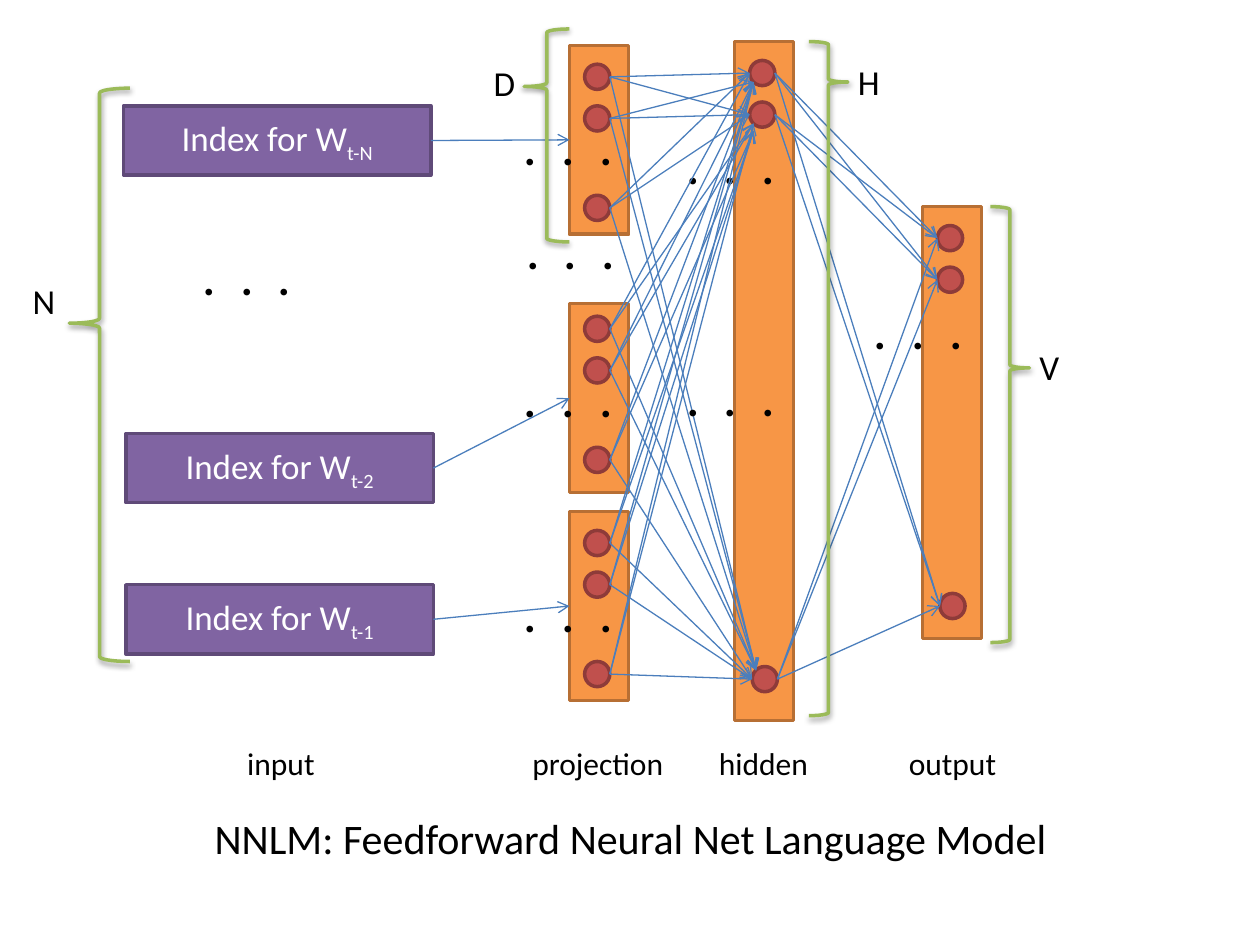
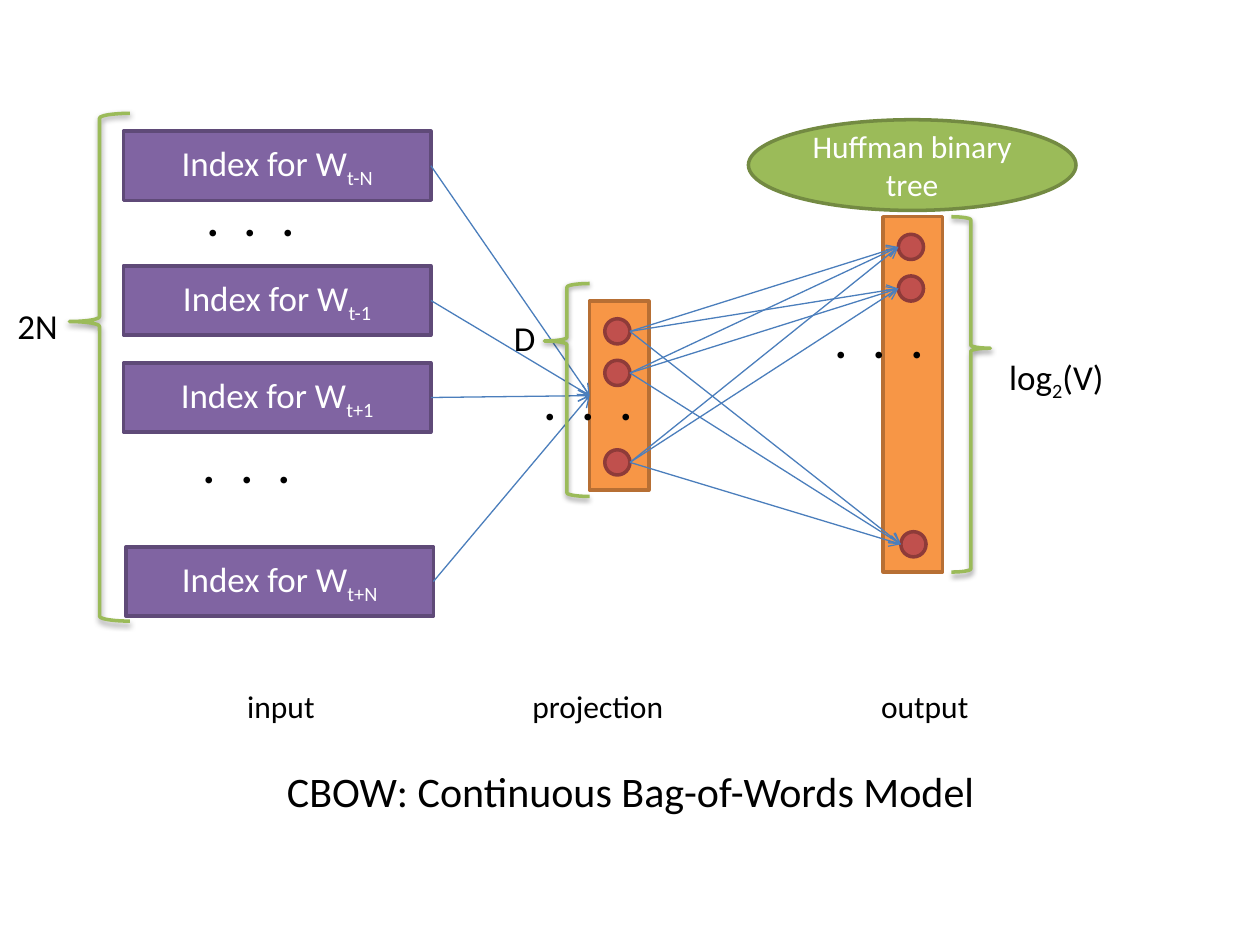
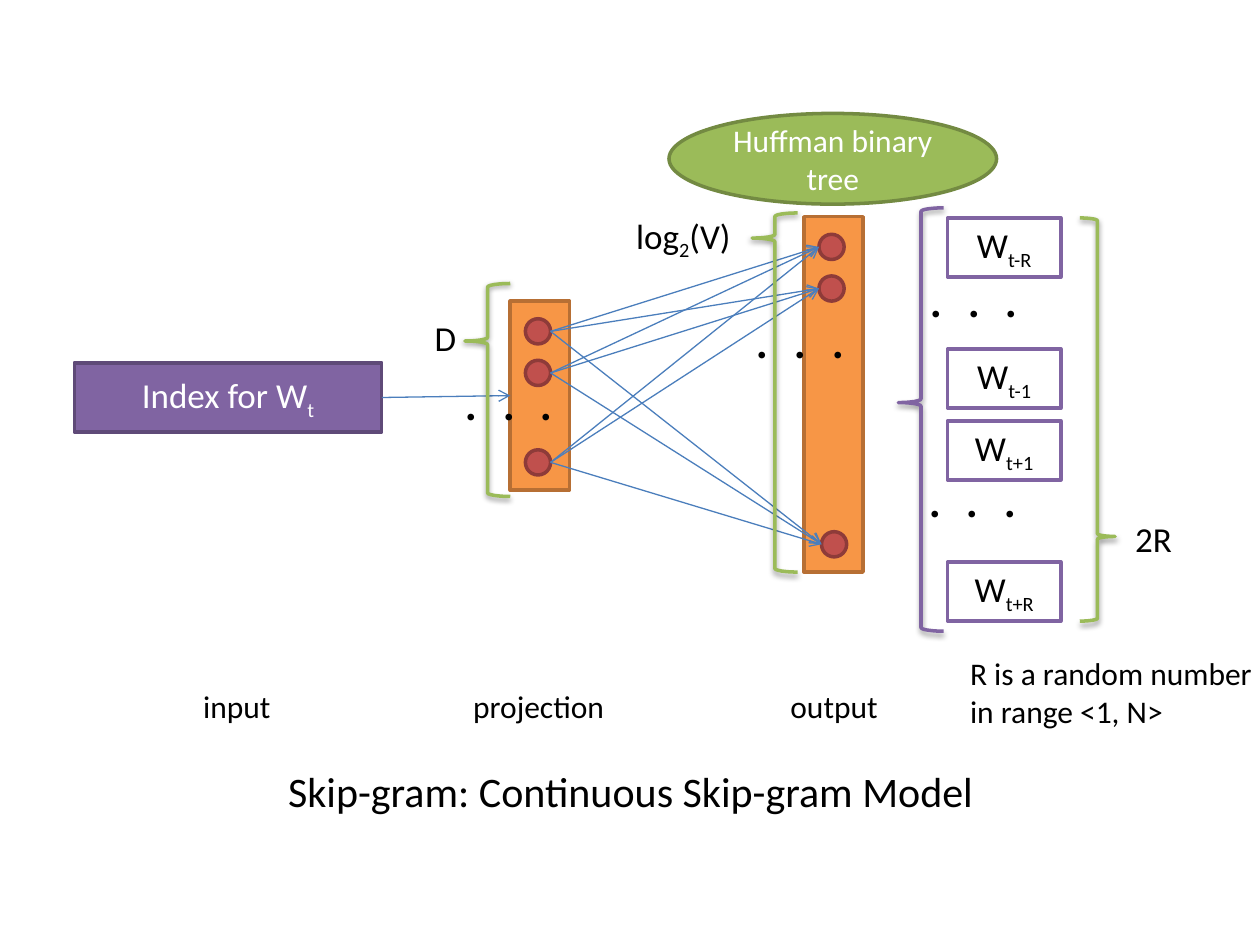
import dataclasses
import itertools

import lxml.etree
import pptx
import pptx.dml.color
import pptx.enum.shapes
import pptx.enum.text
import pptx.oxml.ns
import pptx.util

SHAPE = pptx.enum.shapes.MSO_SHAPE
ALIGN = pptx.enum.text.PP_ALIGN
qn = pptx.oxml.ns.qn


@dataclasses.dataclass(frozen=True)
class Theme:
    font: str = "Calibri"
    purple: str = "8064A2"
    purple_edge: str = "5F4A78"
    orange: str = "F79646"
    orange_edge: str = "B76F34"
    red: str = "C0504D"
    red_edge: str = "8E3B39"
    green: str = "9BBB59"
    green_edge: str = "738A42"
    blue: str = "4B7EBC"
    black: str = "000000"
    white: str = "FFFFFF"
    title: int = 24
    label: int = 20
    caption: int = 18
    edge: float = 2
    arrow: float = 0.75


THEME = Theme()

# Fixed sizes in inches
SLIDE = (10, 7.5)
INPUT = (2.44, 0.55)
WORD = (0.9, 0.47)
TREE = (2.6, 0.72)
DOTS = (0.5, 0.55)
LAYER_WIDTH = 0.47
NODE = 0.2
NODE_STEP = 0.33
NODE_INSET = 0.12
TITLE_LEFT, TITLE_WIDTH = 1.43, 7.15
LABEL_HEIGHT, CAPTION_HEIGHT, TITLE_HEIGHT = 0.44, 0.4, 0.5

# Points on a node, as shares of its size
LEFT, RIGHT = (0, 0.5), (1, 0.5)
UPPER_LEFT, LOWER_LEFT, BELOW = (0.15, 0.15), (0.15, 0.85), (0.15, 1.15)

# Where the arrows of each projection node meet the three hidden nodes
HIDDEN_SITES = [
    (LEFT, LEFT, UPPER_LEFT),
    (LOWER_LEFT, LEFT, UPPER_LEFT),
    (LEFT, LEFT, UPPER_LEFT),
    (LEFT, LOWER_LEFT, UPPER_LEFT),
    (LOWER_LEFT, LOWER_LEFT, UPPER_LEFT),
    (LOWER_LEFT, BELOW, LEFT),
    (LOWER_LEFT, BELOW, LEFT),
    (LOWER_LEFT, BELOW, LEFT),
    (LOWER_LEFT, LOWER_LEFT, LEFT),
]
PLAIN_SITES = [(LEFT, LEFT, LEFT)] * 3


def two_layer_net(left):
    """Projection and tree-coded output, placed from the projection's left side."""
    return {
        # left, top, height, top of first node, top of last node
        "stages": [
            [(left, 2.39, 1.5, 2.53, 3.57)],
            [(left + 2.33, 1.72, 2.82, 1.86, 4.22)],
        ],
        "sites": [PLAIN_SITES],
        "tree": (left + 1.26, 0.95 if left > 4.5 else 0.9),
        "d_brace": ("left", left - 0.36, 2.25, 0.36, 1.69, 0.27, THEME.green),
        "d_label": ("D", left - 0.7, 2.46, 0.39),
    }


CBOW, SKIP = two_layer_net(4.68), two_layer_net(4.05)

# Content of the slides
MODELS = [
    {
        "title": ("NNLM: Feedforward Neural Net Language Model", 6.4),
        "captions": (5.86, [("input", 1.65, 1.16), ("projection", 3.96, 1.57),
                            ("hidden", 5.48, 1.16), ("output", 6.98, 1.16)]),
        "inputs": [("Index for W_t-N", 0.98, 0.84), ("Index for W_t-2", 1, 3.44),
                   ("Index for W_t-1", 1, 4.64)],
        "stages": [
            [(4.52, 0.36, 1.5, 0.51, 1.55), (4.52, 2.41, 1.5, 2.51, 3.55),
             (4.52, 4.06, 1.5, 4.21, 5.25)],
            [(5.83, 0.33, 5.39, 0.48, 5.29)],
            [(7.32, 1.64, 3.43, 1.79, 4.71)],
        ],
        "sites": [HIDDEN_SITES, PLAIN_SITES],
        "dots": [(1.95, 2.1), (4.52, 1.89), (5.79, 3.06)],
        # side, left, top, width, height, share of height at the tip, colour
        "braces": [("left", 4.16, 0.23, 0.36, 1.69, 0.27, THEME.green),
                   ("left", 0.55, 0.7, 0.48, 4.55, 0.41, THEME.green),
                   ("right", 6.42, 0.33, 0.31, 5.35, 0.06, THEME.green),
                   ("right", 7.86, 1.64, 0.31, 3.46, 0.37, THEME.green)],
        "labels": [("D", 3.82, 0.44, 0.39), ("N", 0.16, 2.17, 0.39),
                   ("H", 6.71, 0.43, 0.39), ("V", 8.15, 2.69, 0.39)],
    },
    {
        **CBOW,
        "title": ("CBOW: Continuous Bag-of-Words Model", 6.03),
        "captions": (5.4, [("input", 1.65, 1.16), ("projection", 3.96, 1.57),
                           ("output", 6.76, 1.16)]),
        "inputs": [("Index for W_t-N", 0.98, 1.04), ("Index for W_t-1", 0.98, 2.11),
                   ("Index for W_t+1", 0.98, 2.88), ("Index for W_t+N", 1, 4.34)],
        "dots": [(1.98, 1.63), (1.95, 3.59)],
        "braces": [CBOW["d_brace"],
                   ("left", 0.55, 0.9, 0.48, 4.03, 0.41, THEME.green),
                   ("right", 7.55, 1.72, 0.31, 2.82, 0.37, THEME.green)],
        "labels": [CBOW["d_label"], ("2N", 0.04, 2.37, 0.55),
                   ("log_2_(V)", 7.91, 2.77, 1.02)],
    },
    {
        **SKIP,
        "title": ("Skip-gram: Continuous Skip-gram Model", 6.03),
        "captions": (5.4, [("input", 1.3, 1.16), ("projection", 3.49, 1.57),
                           ("output", 6.04, 1.16)]),
        "inputs": [("Index for W_t", 0.59, 2.88)],
        "words": (7.52, [("W_t-R", 1.73), ("W_t-1", 2.77), ("W_t+1", 3.34),
                         ("W_t+R", 4.46)]),
        "dots": [(7.72, 2.27), (7.71, 3.86)],
        "braces": [SKIP["d_brace"],
                   ("left", 5.97, 1.69, 0.36, 2.85, 0.07, THEME.green),
                   ("left", 7.13, 1.65, 0.36, 3.36, 0.46, THEME.purple),
                   ("right", 8.57, 1.73, 0.28, 3.2, 0.79, THEME.green)],
        "labels": [SKIP["d_label"], ("log_2_(V)", 4.95, 1.65, 1.02),
                   ("2R", 8.91, 4.06, 0.58)],
        "remark": ("R is a random number in range <1, N>", 7.6, 5.14, 2.52, 0.71),
    },
]


def inches(*lengths):
    return [pptx.util.Inches(length) for length in lengths]


def rgb(colour):
    return pptx.dml.color.RGBColor.from_string(colour)


def write(shape, text, size, colour, align):
    """Fill a shape with text; every second part between underscores is a subscript."""
    para = shape.text_frame.paragraphs[0]
    para.alignment = align
    for index, part in enumerate(text.split("_")):
        span = para.add_run()
        span.text = part
        span.font.name = THEME.font
        span.font.size = pptx.util.Pt(size)
        span.font.color.rgb = rgb(colour)
        if index % 2:
            span._r.get_or_add_rPr().set("baseline", "-25000")


def add_text(page, text, at, size, align=ALIGN.LEFT):
    box = page.shapes.add_textbox(*inches(*at))
    box.text_frame.word_wrap = True
    box.text_frame.auto_size = pptx.enum.text.MSO_AUTO_SIZE.SHAPE_TO_FIT_TEXT
    write(box, text, size, THEME.black, align)
    return box


def add_dots(page, left, top):
    box = add_text(page, "・・・", (left, top, *DOTS), THEME.caption)
    next(box.element.iter(qn("a:bodyPr"))).set("vert", "eaVert")


def add_figure(page, kind, at, fill, edge):
    figure = page.shapes.add_shape(kind, *inches(*at))
    figure.shadow.inherit = False
    if fill:
        figure.fill.solid()
        figure.fill.fore_color.rgb = rgb(fill)
    else:
        figure.fill.background()
    figure.line.color.rgb = rgb(edge)
    figure.line.width = pptx.util.Pt(THEME.edge)
    return figure


def add_box(page, kind, text, at, fill, edge, size, colour=THEME.white):
    box = add_figure(page, kind, at, fill, edge)
    box.text_frame.word_wrap = True
    box.text_frame.vertical_anchor = pptx.enum.text.MSO_ANCHOR.MIDDLE
    write(box, text, size, colour, ALIGN.CENTER)
    return box


def add_brace(page, side, left, top, width, height, tip, colour):
    kind = SHAPE.LEFT_BRACE if side == "left" else SHAPE.RIGHT_BRACE
    brace = add_figure(page, kind, (left, top, width, height), None, colour)
    brace.adjustments[0] = 0.08
    brace.adjustments[1] = tip
    effects = brace.element.spPr.find(qn("a:effectLst"))
    shadow = lxml.etree.SubElement(effects, qn("a:outerShdw"), blurRad="40000",
                                   dist="20000", dir="5400000", rotWithShape="0")
    tint = lxml.etree.SubElement(shadow, qn("a:srgbClr"), val=THEME.black)
    lxml.etree.SubElement(tint, qn("a:alpha"), val="38000")


def add_arrow(page, start, end):
    arrow = page.shapes.add_connector(pptx.enum.shapes.MSO_CONNECTOR.STRAIGHT,
                                      *start, *end)
    arrow.line.color.rgb = rgb(THEME.blue)
    arrow.line.width = pptx.util.Pt(THEME.arrow)
    lxml.etree.SubElement(arrow.line._get_or_add_ln(), qn("a:tailEnd"), type="arrow")
    lxml.etree.SubElement(arrow.element.spPr, qn("a:effectLst"))
    return arrow


def spot(node, site):
    return (node.left + int(node.width * site[0]), node.top + int(node.height * site[1]))


def add_layer(page, left, top, height, first, last):
    """One column of nodes; long columns have their last node a little to the right."""
    long = height > 2
    column = add_figure(page, SHAPE.RECTANGLE, (left, top, LAYER_WIDTH, height),
                        THEME.orange, THEME.orange_edge)
    places = [(0, first), (0, first + NODE_STEP), (0.02 if long else 0, last)]
    nodes = [add_figure(page, SHAPE.OVAL, (left + NODE_INSET + shift, y, NODE, NODE),
                        THEME.red, THEME.red_edge) for shift, y in places]
    if long:
        add_dots(page, left - 0.04, first + 0.74)
    else:
        add_dots(page, left - 0.02, first + 0.56)
    return column, nodes


def add_model(page, model):
    # Inputs and layers
    inputs = [add_box(page, SHAPE.RECTANGLE, text, (left, top, *INPUT), THEME.purple,
                      THEME.purple_edge, THEME.label)
              for text, left, top in model["inputs"]]
    stages = [[add_layer(page, *layer) for layer in stage] for stage in model["stages"]]

    # Each input feeds its own projection, or all share the only one
    columns = itertools.cycle(column for column, _ in stages[0])
    for box, column in zip(inputs, columns):
        arrow = add_arrow(page, (0, 0), (0, 0))
        arrow.begin_connect(box, 3)
        arrow.end_connect(column, 1)

    # Every node feeds every node of the next stage
    stage_nodes = [[node for _, nodes in stage for node in nodes] for stage in stages]
    for sources, targets, sites in zip(stage_nodes, stage_nodes[1:], model["sites"]):
        for source, row in zip(sources, sites):
            for target, site in zip(targets, row):
                add_arrow(page, spot(source, RIGHT), spot(target, site))

    # Predicted words and the tree
    word_left, words = model.get("words", (0, []))
    for text, top in words:
        add_box(page, SHAPE.RECTANGLE, text, (word_left, top, *WORD), THEME.white,
                THEME.purple, THEME.label, THEME.black)
    if "tree" in model:
        add_box(page, SHAPE.OVAL, "Huffman binary tree", (*model["tree"], *TREE),
                THEME.green, THEME.green_edge, THEME.caption)

    # Braces, dots and wording
    for brace in model["braces"]:
        add_brace(page, *brace)
    for left, top in model["dots"]:
        add_dots(page, left, top)
    for text, left, top, width in model["labels"]:
        add_text(page, text, (left, top, width, LABEL_HEIGHT), THEME.label)
    if "remark" in model:
        text, *at = model["remark"]
        add_text(page, text, at, THEME.caption)
    caption_top, captions = model["captions"]
    for text, left, width in captions:
        add_text(page, text, (left, caption_top, width, CAPTION_HEIGHT),
                 THEME.caption, ALIGN.CENTER)
    title, title_top = model["title"]
    add_text(page, title, (TITLE_LEFT, title_top, TITLE_WIDTH, TITLE_HEIGHT),
             THEME.title, ALIGN.CENTER)


def main():
    deck = pptx.Presentation()
    deck.slide_width, deck.slide_height = inches(*SLIDE)
    for model in MODELS:
        add_model(deck.slides.add_slide(deck.slide_layouts[6]), model)
    deck.save("out.pptx")


if __name__ == "__main__":
    main()
